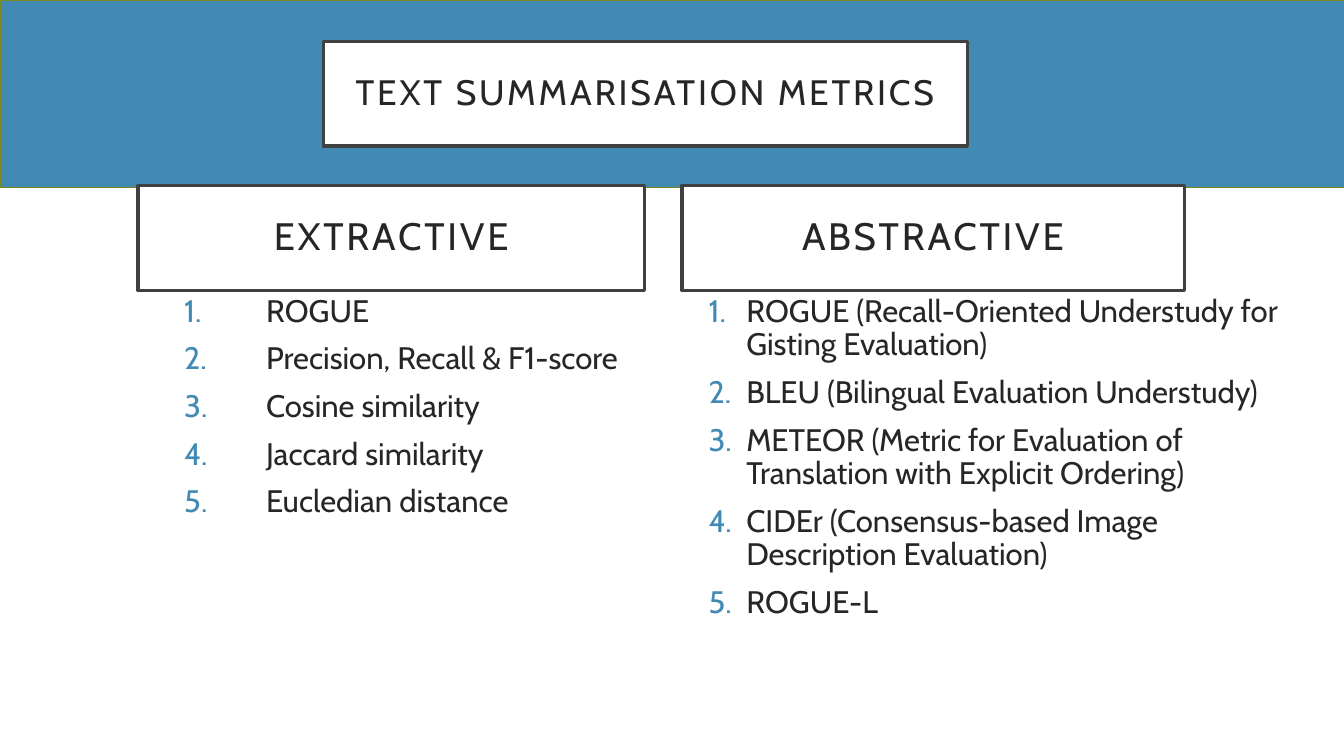
from pptx import Presentation
from pptx.dml.color import RGBColor
from pptx.enum.shapes import MSO_SHAPE
from pptx.enum.text import MSO_ANCHOR, PP_ALIGN
from pptx.oxml.ns import qn
from pptx.util import Pt
from lxml import etree

RECTANGLE = MSO_SHAPE.RECTANGLE
MIDDLE, TOP = MSO_ANCHOR.MIDDLE, MSO_ANCHOR.TOP
CENTER, LEFT = PP_ALIGN.CENTER, PP_ALIGN.LEFT

FONT = "Cabin"
BLUE, OLIVE, WHITE = "418AB3", "7B871D", "FFFFFF"
FRAME, INK = "404040", "262626"
HEADING_TOP, HEADING_HEIGHT = 132.5, 75
LIST_TOP, LIST_HEIGHT = HEADING_TOP + HEADING_HEIGHT, 244

EXTRACTIVE = [
    "ROGUE",
    "Precision, Recall & F1-score",
    "Cosine similarity",
    "Jaccard similarity",
    "Eucledian distance",
]
ABSTRACTIVE = [
    "ROGUE (Recall-Oriented Understudy for Gisting Evaluation)",
    "BLEU (Bilingual Evaluation Understudy)",
    "METEOR (Metric for Evaluation of Translation with Explicit Ordering)",
    "CIDEr (Consensus-based Image Description Evaluation)",
    "ROGUE-L",
]


def color(hex_code):
    """Return the colour for a hex string."""
    return RGBColor.from_string(hex_code)


def add_panel(slide, left, top, width, height, fill, line, line_width):
    """Add a filled and outlined rectangle."""
    panel = slide.shapes.add_shape(
        RECTANGLE, Pt(left), Pt(top), Pt(width), Pt(height))
    panel.shadow.inherit = False
    panel.fill.solid()
    panel.fill.fore_color.rgb = color(fill)
    panel.line.color.rgb = color(line)
    panel.line.width = Pt(line_width)
    return panel


def add_words(paragraph, words, size):
    """Add one run in the slide's font and return it."""
    paragraph.line_spacing = 0.9
    run = paragraph.add_run()
    run.text = words
    run.font.name = FONT
    run.font.size = Pt(size)
    run.font.color.rgb = color(INK)
    return run


def add_heading(slide, words, left, top, width, size):
    """Add a framed heading with widely spaced letters."""
    heading = add_panel(
        slide, left, top, width, HEADING_HEIGHT, WHITE, FRAME, 2.5)
    frame = heading.text_frame
    frame.word_wrap = True
    frame.vertical_anchor = MIDDLE
    frame.margin_left = frame.margin_right = Pt(14.4)
    frame.margin_top = frame.margin_bottom = Pt(14.4)
    paragraph = frame.paragraphs[0]
    paragraph.alignment = CENTER
    run = add_words(paragraph, words, size)
    run.font._element.set("spc", "200")


def number_paragraph(paragraph, indent):
    """Give a paragraph a blue automatic number and a hanging indent."""
    properties = paragraph._p.get_or_add_pPr()
    properties.set("marL", str(Pt(indent)))
    properties.set("indent", str(-Pt(indent)))
    number_color = etree.SubElement(properties, qn("a:buClr"))
    etree.SubElement(number_color, qn("a:srgbClr"), val=BLUE)
    etree.SubElement(properties, qn("a:buFont"), typeface=FONT)
    etree.SubElement(properties, qn("a:buAutoNum"), type="arabicPeriod")


def add_metric_list(slide, metrics, left, width, indent):
    """Add a numbered list of metrics below a heading."""
    metric_list = slide.shapes.add_textbox(
        Pt(left), Pt(LIST_TOP), Pt(width), Pt(LIST_HEIGHT))
    frame = metric_list.text_frame
    frame.word_wrap = True
    frame.vertical_anchor = TOP
    for index, metric in enumerate(metrics):
        paragraph = frame.add_paragraph() if index else frame.paragraphs[0]
        paragraph.alignment = LEFT
        paragraph.space_before = Pt(10)
        add_words(paragraph, metric, 22.2)
        number_paragraph(paragraph, indent)


def main():
    """Build the slide and save it."""
    deck = Presentation()
    deck.slide_width, deck.slide_height = Pt(960), Pt(540)
    slide = deck.slides.add_slide(deck.slide_layouts[6])
    add_panel(slide, 0, 0, 960, 134, BLUE, OLIVE, 1)
    add_heading(slide, "TEXT SUMMARISATION METRICS", 231, 29.5, 460, 25.2)
    add_metric_list(slide, EXTRACTIVE, 124.5, 336, 58.5)
    add_metric_list(slide, ABSTRACTIVE, 499, 425, 27)
    add_heading(slide, "EXTRACTIVE", 98.5, HEADING_TOP, 362, 27.3)
    add_heading(slide, "ABSTRACTIVE", 487, HEADING_TOP, 359, 27.3)
    deck.save("out.pptx")


if __name__ == "__main__":
    main()
